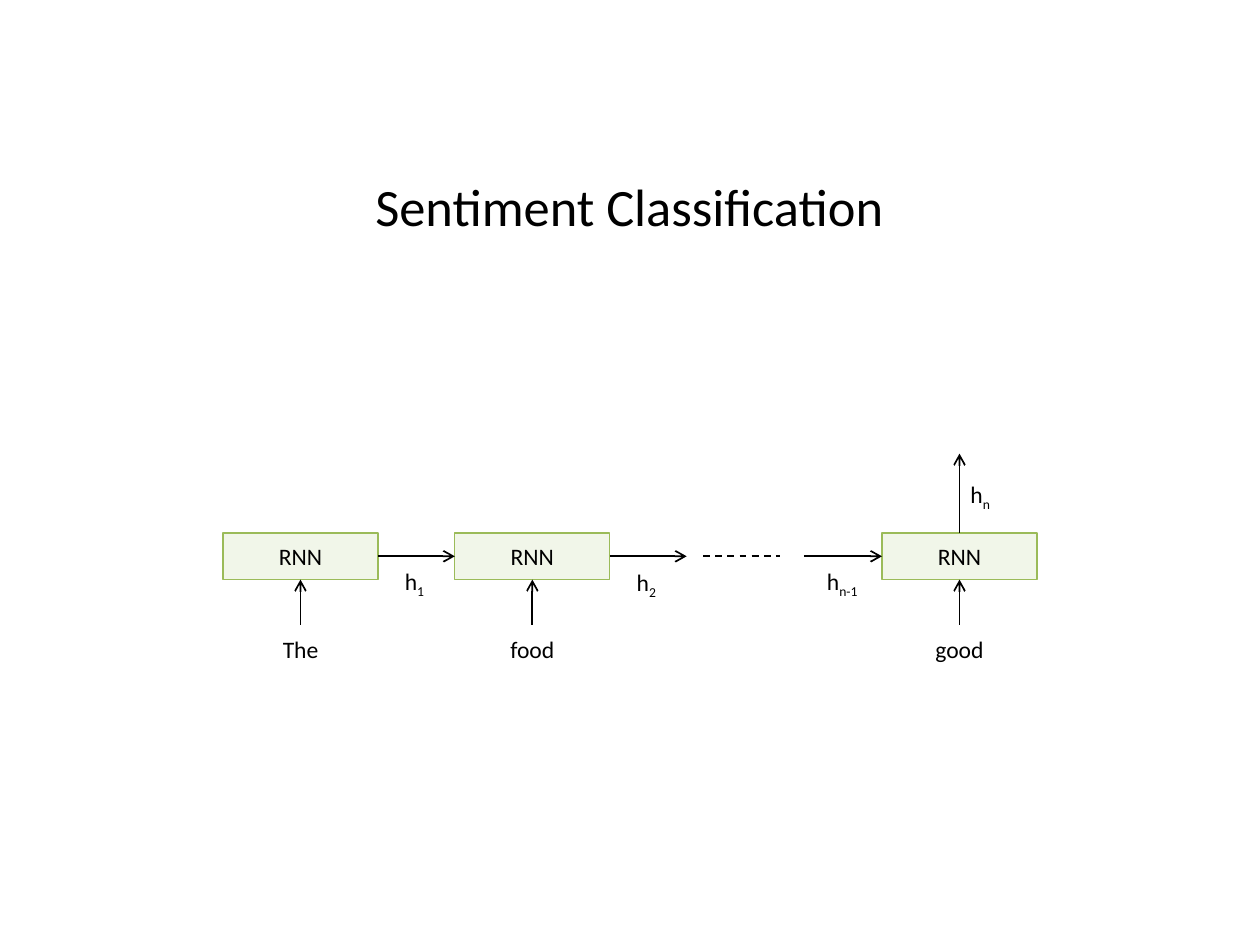
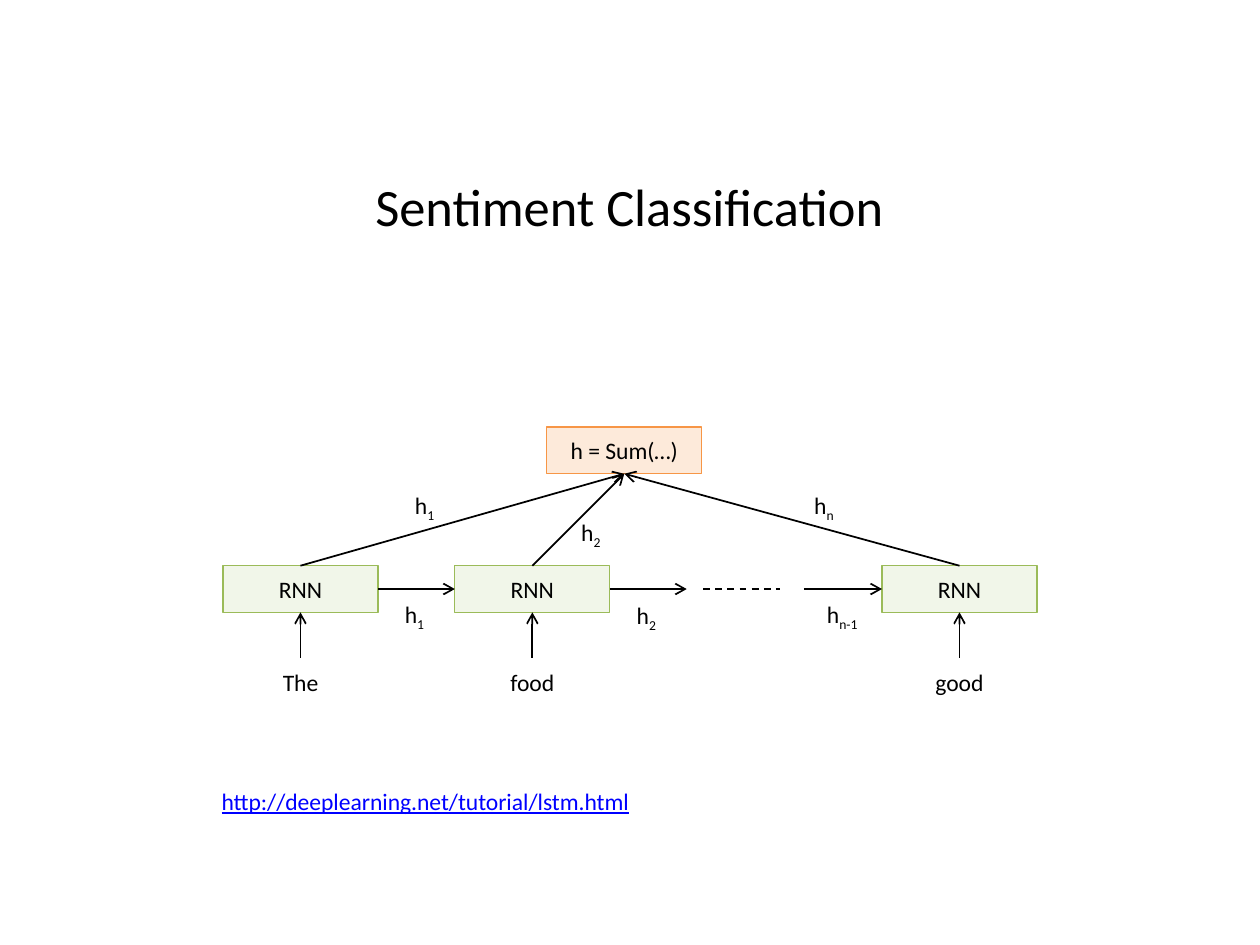
"""Build two slides on sentiment classification with a recurrent network."""
from dataclasses import dataclass

from lxml import etree
from pptx import Presentation
from pptx import util as u
from pptx.dml.color import RGBColor
from pptx.enum import dml, shapes, text
from pptx.oxml import ns


@dataclass(frozen=True)
class Theme:
    font: str = "Calibri"
    ink: str = "000000"
    link: str = "0000FF"
    cell: tuple = ("D7E4BD", "9BBB59")
    total: tuple = ("FAC090", "F79646")
    opacity: int = 33
    title_size: float = 30
    body_size: float = 13.5
    border: float = 0.75
    stroke: float = 1


theme = Theme()


def add_text(page, words, at, *, size=theme.body_size, color=theme.ink, colors=None,
             align=text.PP_ALIGN.CENTER, wrap=False, middle=False, underline=False):
    """Add a text box, or a filled rectangle when colors is given; "_" starts a subscript."""
    place = [u.Inches(value) for value in at]
    if colors:
        box = page.shapes.add_shape(shapes.MSO_SHAPE.RECTANGLE, *place)
        box.shadow.inherit = False
        box.fill.solid()
        box.fill.fore_color.rgb = RGBColor.from_string(colors[0])
        fill_color = box.fill._xPr.find(".//" + ns.qn("a:srgbClr"))
        etree.SubElement(fill_color, ns.qn("a:alpha"), val=str(theme.opacity * 1000))
        box.line.color.rgb = RGBColor.from_string(colors[1])
        box.line.width = u.Pt(theme.border)
    else:
        box = page.shapes.add_textbox(*place)
    frame = box.text_frame
    frame.word_wrap = wrap
    if not wrap:
        frame.auto_size = text.MSO_AUTO_SIZE.SHAPE_TO_FIT_TEXT
    if middle:
        frame.vertical_anchor = text.MSO_ANCHOR.MIDDLE
    para = frame.paragraphs[0]
    para.alignment = align
    base, _, subscript = words.partition("_")
    for part in filter(None, (base, subscript)):
        span = para.add_run()
        span.text = part
        span.font.name = theme.font
        span.font.size = u.Pt(size)
        span.font.color.rgb = RGBColor.from_string(color)
        if underline:
            span.font.underline = True
    if subscript:
        span._r.get_or_add_rPr().set("baseline", "-25000")
    return box


def add_line(page, start, end, *, begin=None, finish=None, dashed=False):
    """Draw an arrow or a dashed line; begin and finish are (box, side) pairs to join."""
    line = page.shapes.add_connector(
        shapes.MSO_CONNECTOR.STRAIGHT, *[u.Inches(value) for value in (*start, *end)])
    if begin:
        line.begin_connect(*begin)
    if finish:
        line.end_connect(*finish)
    line.line.color.rgb = RGBColor.from_string(theme.ink)
    line.line.width = u.Pt(theme.stroke)
    if dashed:
        line.line.dash_style = dml.MSO_LINE.DASH
    else:
        etree.SubElement(line.line._ln, ns.qn("a:tailEnd"), type="arrow")
    etree.SubElement(line._element.spPr, ns.qn("a:effectLst"))


TOP, LEFT, BOTTOM, RIGHT = range(4)
cell_width, cell_height = 1.23, 0.37
label_width, label_height = 0.36, 0.33
step = 0.61
inputs = (("The", 0.48, 1.77), ("food", 0.55, 3.61), ("good", 0.58, 7.0))
centers = [left + cell_width / 2 for _, _, left in inputs]

deck = Presentation()
deck.slide_width, deck.slide_height = u.Inches(10), u.Inches(7.5)
pages, rows = [], []

for row_top in (4.23, 4.49):
    page = deck.slides.add_slide(deck.slide_layouts[6])
    add_text(page, "Sentiment Classification", (1.62, 1.16, 6.75, 0.94),
             size=theme.title_size, wrap=True, middle=True)

    cells = []
    for (word, word_width, left), center in zip(inputs, centers):
        cell = add_text(page, "RNN", (left, row_top, cell_width, cell_height),
                        colors=theme.cell, wrap=True, middle=True)
        add_line(page, (center, row_top + 0.73), (center, row_top + cell_height),
                 finish=(cell, BOTTOM))
        add_text(page, word, (center - word_width / 2, row_top + 0.76, word_width, label_height))
        cells.append(cell)

    first, second, last = cells
    middle_y = row_top + cell_height / 2
    for state, start_x, begin, finish, label_left, label_drop, width in (
            ("h_1", 3.0, (first, RIGHT), (second, LEFT), 3.11, 0.22, label_width),
            ("h_2", 4.84, (second, RIGHT), None, 4.95, 0.23, label_width),
            ("h_n-1", 6.38, None, (last, LEFT), 6.45, 0.22, 0.47)):
        add_line(page, (start_x, middle_y), (start_x + step, middle_y),
                 begin=begin, finish=finish)
        add_text(page, state, (label_left, row_top + label_drop, width, label_height))
    add_line(page, (5.58, middle_y), (5.58 + step, middle_y), dashed=True)
    pages.append(page)
    rows.append(cells)

last_state_page, sum_page = pages
add_line(last_state_page, (centers[-1], 4.23), (centers[-1], 3.6), begin=(rows[0][-1], TOP))
add_text(last_state_page, "h_n", (7.6, 3.76, label_width, label_height))

total = add_text(sum_page, "h = Sum(…)", (4.34, 3.39, cell_width, cell_height),
                 colors=theme.total, wrap=True, middle=True)
states = (("h_1", 3.19, 3.85), ("h_2", 4.51, 4.06), ("h_n", 6.36, 3.85))
for cell, center, (state, left, top) in zip(rows[1], centers, states):
    add_line(sum_page, (center, 4.49), (4.95, 3.77), begin=(cell, TOP), finish=(total, BOTTOM))
    add_text(sum_page, state, (left, top, label_width, label_height))
add_text(sum_page, "http://deeplearning.net/tutorial/lstm.html", (1.66, 6.2, 3.45, label_height),
         color=theme.link, align=text.PP_ALIGN.LEFT, underline=True)

deck.save("out.pptx")
